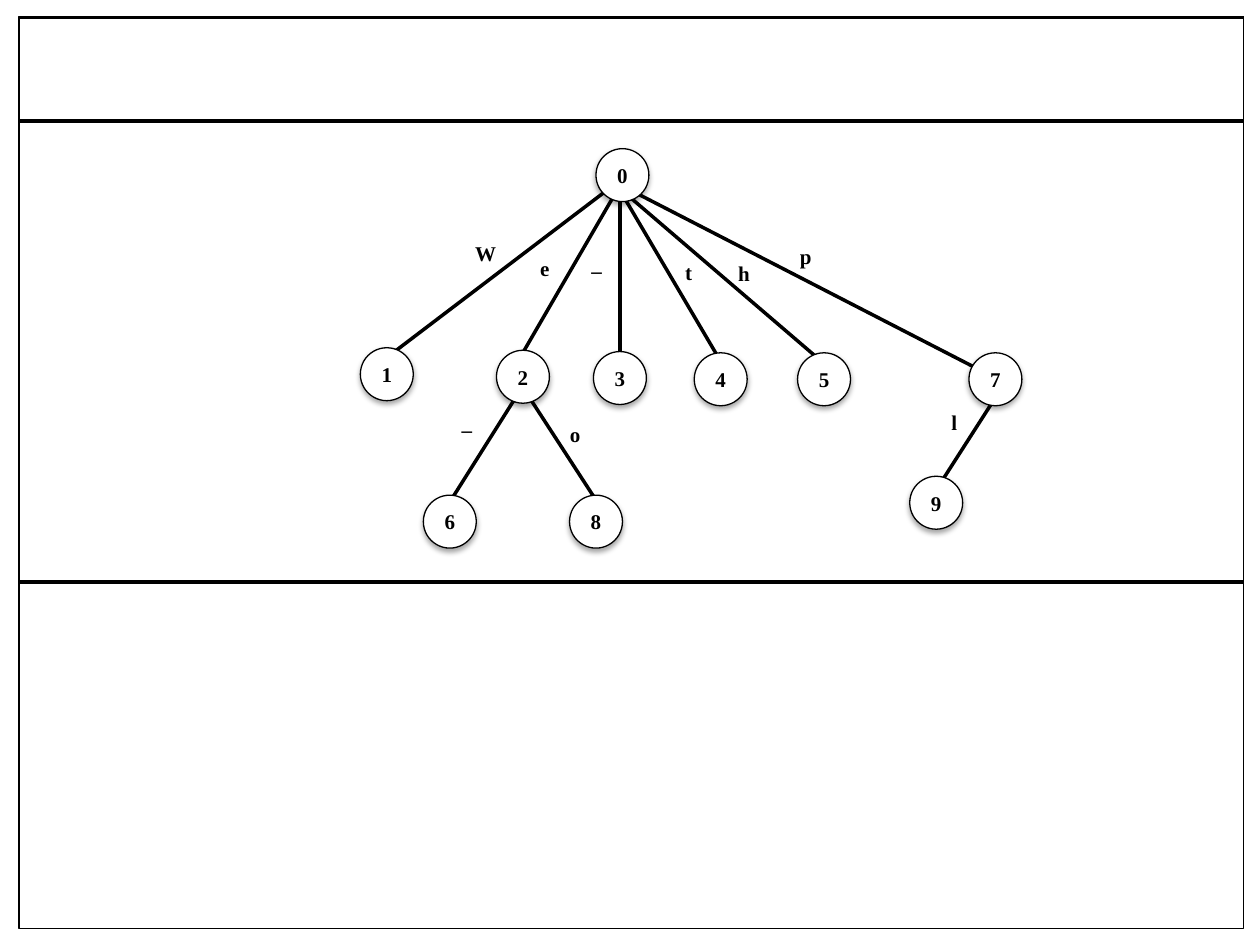
from lxml import etree
from pptx import Presentation
from pptx.dml.color import RGBColor
from pptx.enum import shapes, text
from pptx.oxml import parse_xml
from pptx.oxml.ns import nsdecls, qn
from pptx.util import Inches, Pt

BLACK = RGBColor(0, 0, 0)
WHITE = RGBColor(255, 255, 255)
SIZE = 0.42
SHADOW = (f'<a:effectLst {nsdecls("a")}>'
          '<a:outerShdw blurRad="39400" dist="22900" dir="5400000" rotWithShape="0">'
          '<a:srgbClr val="000000"><a:alpha val="35000"/></a:srgbClr>'
          '</a:outerShdw></a:effectLst>')

prs = Presentation()
prs.slide_width, prs.slide_height = Inches(10), Inches(7.5)
slide = prs.slides.add_slide(prs.slide_layouts[6])
tree = slide.shapes


def write(shape, label, anchor):
    frame = shape.text_frame
    form = {"word_wrap": True, "vertical_anchor": anchor,
            "margin_left": 0, "margin_right": 0}
    for name, value in form.items():
        setattr(frame, name, value)
    para = frame.paragraphs[0]
    para.alignment = text.PP_ALIGN.CENTER
    run = para.add_run()
    run.text = label
    run.font.color.rgb = BLACK
    for name, value in {"name": "Times New Roman", "size": Pt(12), "bold": True}.items():
        setattr(run.font, name, value)


# Page frame
frame = tree.add_shape(shapes.MSO_SHAPE.RECTANGLE, Inches(0.15), Inches(0.13),
                       Inches(9.72), Inches(7.24))
frame.shadow.inherit = False
frame.fill.background()
frame.line.color.rgb = BLACK
frame.line.width = Pt(0.75)

# Rules across the page, then tree edges from child to parent
rules = [(0.16, y, 9.87, y) for y in (0.14, 0.96, 4.62)]
edges = [
    (3.08, 2.83, 4.83, 1.5),
    (7.9, 3, 4.83, 1.42),
    (4.08, 2.92, 4.95, 1.42),
    (6.58, 2.92, 4.83, 1.42),
    (4.92, 2.92, 4.92, 1.42),
    (5.75, 2.92, 4.92, 1.51),
    (7.41, 3.92, 7.91, 3.14),
    (3.56, 4, 4.14, 3.08),
    (4.75, 4, 4.14, 3.06),
]
for ends in rules + edges:
    line = tree.add_connector(shapes.MSO_CONNECTOR.STRAIGHT, *map(Inches, ends))
    line.line.color.rgb = BLACK
    line.line.width = Pt(2)
    etree.SubElement(line._element.spPr, qn("a:effectLst"))

# Nodes, numbered in order of creation
nodes = [(4.73, 1.18), (2.86, 2.76), (3.94, 2.78), (4.71, 2.79), (5.51, 2.8),
         (6.33, 2.8), (3.36, 3.93), (7.69, 2.8), (4.52, 3.93), (7.22, 3.78)]
for num, (x, y) in enumerate(nodes):
    node = tree.add_shape(shapes.MSO_SHAPE.OVAL, Inches(x), Inches(y),
                          Inches(SIZE), Inches(SIZE))
    node.fill.solid()
    node.fill.fore_color.rgb = WHITE
    node.line.color.rgb = BLACK
    node.line.width = Pt(0.75)
    node._element.spPr.append(parse_xml(SHADOW))
    write(node, str(num), text.MSO_ANCHOR.MIDDLE)

# Edge labels
labels = [("W", 3.59, 1.86), ("e", 4.06, 1.98), ("_", 4.47, 1.94),
          ("t", 5.2, 2.01), ("h", 5.64, 2.02), ("p", 6.13, 1.88),
          ("_", 3.44, 3.2), ("o", 4.3, 3.3), ("l", 7.31, 3.2)]
for label, x, y in labels:
    box = tree.add_textbox(Inches(x), Inches(y), Inches(0.53), Inches(0.3))
    write(box, label, text.MSO_ANCHOR.TOP)

prs.save("out.pptx")
